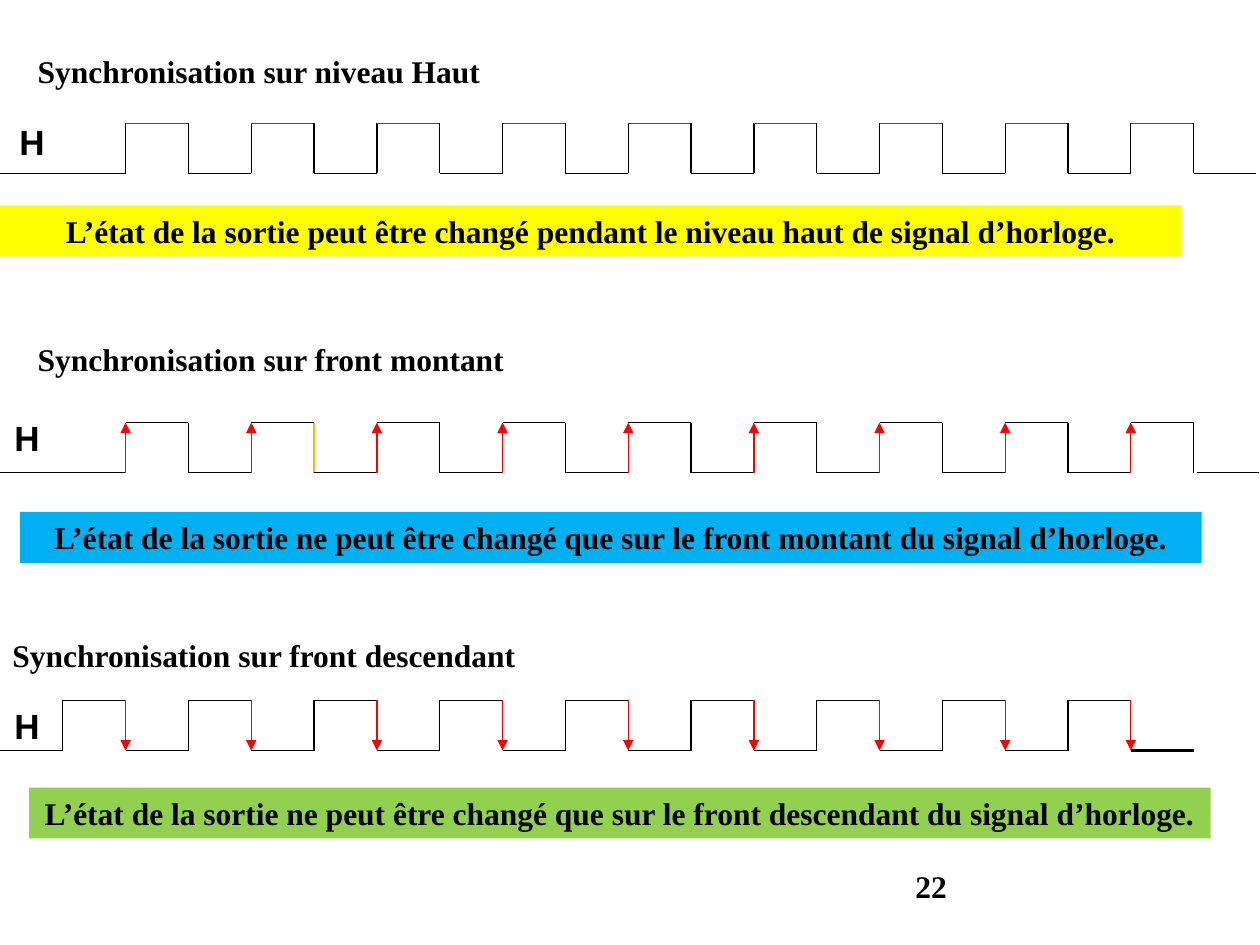
from lxml.etree import SubElement
from pptx import Presentation
from pptx.dml.color import RGBColor
from pptx.enum.shapes import MSO_CONNECTOR as Connector, MSO_SHAPE as Shape
from pptx.enum.text import MSO_ANCHOR as Anchor, PP_ALIGN as Align
from pptx.oxml.ns import qn
from pptx.util import Pt

BLACK = RGBColor(0x00, 0x00, 0x00)
RED = RGBColor(0xFF, 0x00, 0x00)
ORANGE = RGBColor(0xFE, 0xB8, 0x0A)
YELLOW = RGBColor(0xFF, 0xFF, 0x00)
BLUE = RGBColor(0x00, 0xB0, 0xF0)
GREEN = RGBColor(0x92, 0xD0, 0x50)

SERIF = "Times New Roman"
HALF_PERIOD = 35.9
AMPLITUDE = 28.6

# One letter per half period: L for low, H for high
RISING_CLOCK = "LL" + "HL" * 9
FALLING_CLOCK = "L" + "HL" * 9


def write(shape, text, size=18, font_name=SERIF, align=Align.LEFT):
    frame = shape.text_frame
    frame.text = text
    paragraph = frame.paragraphs[0]
    paragraph.alignment = align
    font = paragraph.runs[0].font
    font.name, font.size, font.bold = font_name, Pt(size), True
    font.color.rgb = BLACK


def add_label(slide, text, left, top, width, height=29.4, **style):
    label = slide.shapes.add_textbox(Pt(left), Pt(top), Pt(width), Pt(height))
    label.text_frame.word_wrap = True
    write(label, text, **style)


def add_statement(slide, text, left, top, color):
    bar = slide.shapes.add_shape(
        Shape.RECTANGLE, Pt(left), Pt(top), Pt(675.2), Pt(29.1))
    bar.shadow.inherit = False
    bar.fill.solid()
    bar.fill.fore_color.rgb = color
    bar.line.fill.background()
    bar.text_frame.word_wrap = True
    bar.text_frame.vertical_anchor = Anchor.TOP
    write(bar, text, align=Align.CENTER)


def add_segment(group, start, end, color=BLACK, width=0.75, arrow=False):
    segment = group.shapes.add_connector(
        Connector.STRAIGHT, *(Pt(value) for value in (*start, *end)))
    segment.line.color.rgb = color
    segment.line.width = Pt(width)
    if arrow:
        line = segment.line._get_or_add_ln()
        SubElement(line, qn("a:tailEnd"), type="triangle")
    SubElement(segment._element.spPr, qn("a:effectLst"))


def add_clock(slide, levels, low, high_color=BLACK, active_edge=None,
              marked_edge=None, last_width=0.75, last_shift=0):
    """Draw a square wave; edges into the active_edge level are red arrows."""
    group = slide.shapes.add_group_shape()
    heights = {"L": low, "H": low - AMPLITUDE}
    last = len(levels) - 1
    for index, level in enumerate(levels):
        x, y = index * HALF_PERIOD, heights[level]
        previous = levels[max(index - 1, 0)]
        if level != previous:
            active = level == active_edge
            color = RED if active else ORANGE if index == marked_edge else BLACK
            add_segment(group, (x, heights[previous]), (x, y), color, arrow=active)
        shift = last_shift if index == last else 0
        add_segment(group, (x + shift, y), (x + shift + HALF_PERIOD, y),
                    high_color if level == "H" else BLACK,
                    last_width if index == last else 0.75)


def main():
    deck = Presentation()
    deck.slide_width, deck.slide_height = Pt(720), Pt(540)
    slide = deck.slides.add_slide(deck.slide_layouts[6])

    add_label(slide, "22", 516, 491.8, 168, 37.4)

    add_clock(slide, RISING_CLOCK, 99.1, high_color=RED)
    add_clock(slide, RISING_CLOCK, 270.1, active_edge="H", marked_edge=5,
              last_shift=1.7)
    add_clock(slide, FALLING_CLOCK, 428.9, active_edge="L", last_width=1.5)

    headings = [
        ("Synchronisation sur niveau Haut", 14.4, 25.9, 289.4),
        ("Synchronisation sur front montant", 14.4, 190.8, 289.4),
        ("Synchronisation sur front descendant", 0, 360, 362.9),
    ]
    for heading in headings:
        add_label(slide, *heading)

    for left, top in [(0, 65.5), (-2.9, 234.7), (-2.9, 398.9)]:
        add_label(slide, "H", left, top, 36.7, size=20, font_name="Arial",
                  align=Align.CENTER)

    statements = [
        ("L’état de la sortie peut être changé pendant le niveau haut "
         "de signal d’horloge.", 0, 117.4, YELLOW),
        ("L’état de la sortie ne peut être changé que sur le front montant "
         "du signal d’horloge.", 11.5, 292.5, BLUE),
        ("L’état de la sortie ne peut être changé que sur le front descendant "
         "du signal d’horloge.", 16.6, 450, GREEN),
    ]
    for statement in statements:
        add_statement(slide, *statement)

    deck.save("out.pptx")


if __name__ == "__main__":
    main()
